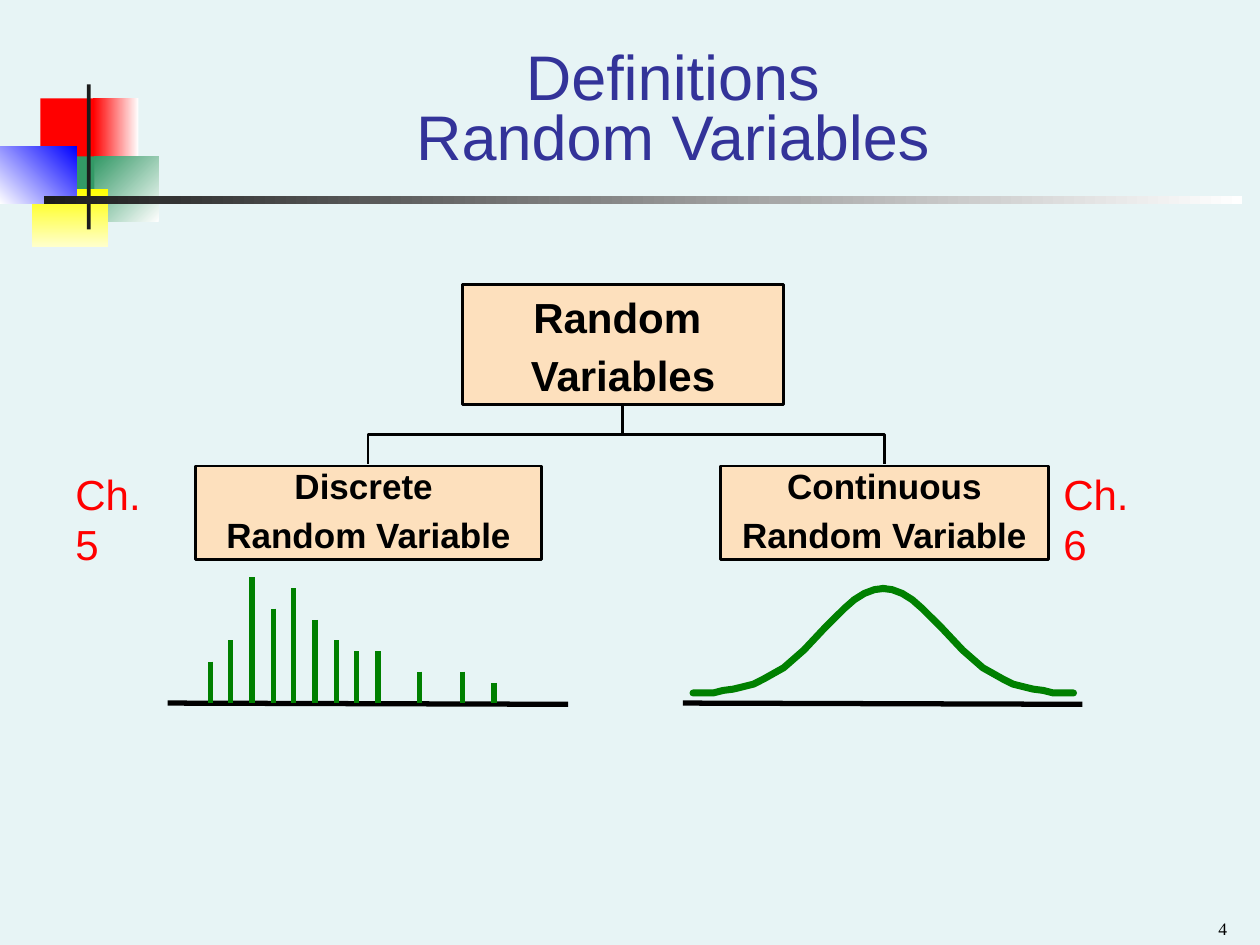
from lxml import etree
from pptx import Presentation
from pptx.dml.color import RGBColor
from pptx.enum.shapes import MSO_CONNECTOR, MSO_SHAPE
from pptx.enum.text import MSO_ANCHOR, PP_ALIGN
from pptx.oxml.ns import qn
from pptx.util import Inches, Pt

RECTANGLE = MSO_SHAPE.RECTANGLE
STRAIGHT, ELBOW = MSO_CONNECTOR.STRAIGHT, MSO_CONNECTOR.ELBOW
TOP, MIDDLE, BOTTOM = MSO_ANCHOR.TOP, MSO_ANCHOR.MIDDLE, MSO_ANCHOR.BOTTOM
LEFT, CENTER, RIGHT = PP_ALIGN.LEFT, PP_ALIGN.CENTER, PP_ALIGN.RIGHT

PALE_BLUE = RGBColor(0xE7, 0xF4, 0xF5)
PEACH = RGBColor(0xFD, 0xE0, 0xBD)
INDIGO = RGBColor(0x33, 0x33, 0x99)
BLACK = RGBColor(0, 0, 0)
CHARCOAL = RGBColor(0x1C, 0x1C, 0x1C)
WHITE = RGBColor(0xFF, 0xFF, 0xFF)
RED = RGBColor(0xFF, 0, 0)
BLUE = RGBColor(0, 0, 0xFF)
YELLOW = RGBColor(0xFF, 0xFF, 0)
CREAM = RGBColor(0xFF, 0xFF, 0xCC)
SEA_GREEN = RGBColor(0x33, 0x99, 0x66)
GREEN = RGBColor(0, 0x80, 0)

BASELINE = 5.58
# Left, top, width, height, colours (two make a gradient), gradient direction
DECORATION = [
    (0.32, 0.78, 0.48, 0.52, [RED], 0),
    (0.74, 0.78, 0.36, 0.52, [WHITE, RED], 180),
    (0.75, 1.24, 0.51, 0.52, [WHITE, SEA_GREEN], 225),
    (0.43, 1.24, 0.32, 0.52, [SEA_GREEN], 0),
    (0.25, 1.5, 0.61, 0.46, [YELLOW, CREAM], 90),
    (0, 1.16, 0.61, 0.46, [BLUE, WHITE], 135),
    (0.69, 0.67, 0.03, 1.15, [CHARCOAL], 0),
    (0.35, 1.56, 9.51, 0.06, [WHITE, CHARCOAL], 180),
]
# Left, top, width, height, lines, text size, first line spacing
BOXES = [
    (3.67, 2.26, 2.55, 0.95, ["Random ", "Variables"], 24, 1.0),
    (1.55, 3.7, 2.75, 0.74, ["Discrete ", "Random Variable"], 20, 0.8),
    (5.72, 3.7, 2.6, 0.74, ["Continuous", "Random Variable"], 20, 0.8),
]
# Position and top of each bar of the discrete distribution
BARS = [
    (1.67, 5.25), (1.83, 5.08), (2, 4.58), (2.17, 4.83), (2.33, 4.67), (2.5, 4.92),
    (2.67, 5.08), (2.83, 5.17), (3, 5.17), (3.33, 5.33), (3.67, 5.33), (3.92, 5.42),
]
# Distance from the tail and height on the slide, for half of the bell curve
HALF_BELL = [
    (0, 5.5), (0.16, 5.5), (0.24, 5.48), (0.32, 5.47), (0.4, 5.45), (0.48, 5.43),
    (0.56, 5.39), (0.72, 5.3), (0.88, 5.16), (1.04, 4.99), (1.12, 4.91), (1.2, 4.83),
    (1.28, 4.76), (1.36, 4.71), (1.44, 4.68), (1.52, 4.67),
]


class Page:
    """Draws styled elements on one slide, with all lengths in inches."""

    font = "Arial"

    def __init__(self, deck):
        self.slide = deck.slides.add_slide(deck.slide_layouts[6])
        self.shapes = self.slide.shapes
        fill = self.slide.background.fill
        fill.solid()
        fill.fore_color.rgb = PALE_BLUE

    def rectangle(self, left, top, width, height, colors, direction=0):
        box = self.shapes.add_shape(
            RECTANGLE, Inches(left), Inches(top), Inches(width), Inches(height))
        box.shadow.inherit = False
        box.line.fill.background()
        if len(colors) == 1:
            box.fill.solid()
            box.fill.fore_color.rgb = colors[0]
        else:
            box.fill.gradient()
            box.fill.gradient_angle = 360 - direction
            for stop, color in zip(box.fill.gradient_stops, colors):
                stop.color.rgb = color
        return box

    def frame(self, box, anchor, wrap=True, side=0.1):
        frame = box.text_frame
        frame.word_wrap = wrap
        frame.vertical_anchor = anchor
        frame.margin_left = frame.margin_right = Inches(side)
        frame.margin_top = frame.margin_bottom = Inches(0.05)
        return frame

    def span(self, para, text, size, color, bold=False, font=font):
        span = para.add_run()
        span.text = text
        span.font.name = font
        span.font.size = Pt(size)
        span.font.bold = bold
        span.font.color.rgb = color

    def text(self, left, top, width, height, lines, size, color, align=LEFT,
             anchor=TOP, wrap=True, side=0.1, spacing=1.0, font=font):
        """Add one paragraph, with line breaks between its lines."""
        box = self.shapes.add_textbox(
            Inches(left), Inches(top), Inches(width), Inches(height))
        para = self.frame(box, anchor, wrap, side).paragraphs[0]
        para.alignment = align
        para.line_spacing = spacing
        for index, line in enumerate(lines):
            if index:
                para.add_line_break()
            self.span(para, line, size, color, font=font)

    def labelled_box(self, left, top, width, height, lines, size, first_spacing):
        box = self.rectangle(left, top, width, height, [PEACH])
        box.line.color.rgb = BLACK
        box.line.width = Pt(1.5)
        frame = self.frame(box, MIDDLE)
        for index, line in enumerate(lines):
            para = frame.add_paragraph() if index else frame.paragraphs[0]
            para.alignment = CENTER
            para.line_spacing = 0.6 if index else first_spacing
            para.space_before = Pt(size * 0.625)
            self.span(para, line, size, BLACK, bold=True)

    def line(self, x1, y1, x2, y2, color, weight, kind=STRAIGHT):
        line = self.shapes.add_connector(
            kind, Inches(x1), Inches(y1), Inches(x2), Inches(y2))
        line.line.color.rgb = color
        line.line.width = Pt(weight)
        etree.SubElement(line._element.spPr, qn("a:effectLst"))
        return line

    def branch(self, x1, y1, x2, y2):
        """Add an elbow that leaves and arrives vertically, by a quarter turn."""
        center_x, center_y = (x1 + x2) / 2, (y1 + y2) / 2
        half_drop, half_run = (y2 - y1) / 2, abs(x2 - x1) / 2
        side = 1 if x2 > x1 else -1
        elbow = self.line(
            center_x + side * half_drop, center_y - half_run,
            center_x - side * half_drop, center_y + half_run, BLACK, 1.5, ELBOW)
        turn = 270 if side > 0 else 90
        elbow._element.spPr.find(qn("a:xfrm")).set("rot", str(turn * 60000))

    def curve(self, points, color, weight):
        points = [(Inches(x), Inches(y)) for x, y in points]
        builder = self.shapes.build_freeform(*points[0])
        builder.add_line_segments(points[1:], close=False)
        curve = builder.convert_to_shape()
        curve.shadow.inherit = False
        curve.fill.background()
        curve.line.color.rgb = color
        curve.line.width = Pt(weight)
        curve.line._get_or_add_ln().set("cap", "rnd")


def main():
    deck = Presentation()
    deck.slide_width, deck.slide_height = Inches(10), Inches(7.5)
    page = Page(deck)

    for piece in DECORATION:
        page.rectangle(*piece)
    page.text(1.08, 0.17, 8.52, 1.25, ["Definitions", "Random Variables"], 36, INDIGO,
              CENTER, BOTTOM, side=0.09, spacing=0.8)

    for box in BOXES:
        page.labelled_box(*box)
    for child_x in (2.92, 7.02):
        page.branch(4.94, 3.22, child_x, 3.68)

    page.line(5.42, BASELINE, 8.59, BASELINE + 0.01, BLACK, 3)
    for tail, direction in ((8.52, -1), (5.5, 1)):
        page.curve([(tail + direction * x, y) for x, y in HALF_BELL], GREEN, 4)

    page.line(1.33, BASELINE, 4.51, BASELINE + 0.01, BLACK, 3)
    for x, top in BARS:
        page.line(x, top, x, BASELINE, GREEN, 3)

    for left, chapter in ((0.5, "Ch. 5"), (8.34, "Ch. 6")):
        page.text(left, 3.67, 0.99, 0.5, [chapter], 24, RED, wrap=False)
    page.text(7.5, 7.15, 2.33, 0.35, ["4"], 10, BLACK, RIGHT, BOTTOM,
              side=0.09, font="Times New Roman")

    deck.save("out.pptx")


if __name__ == "__main__":
    main()
